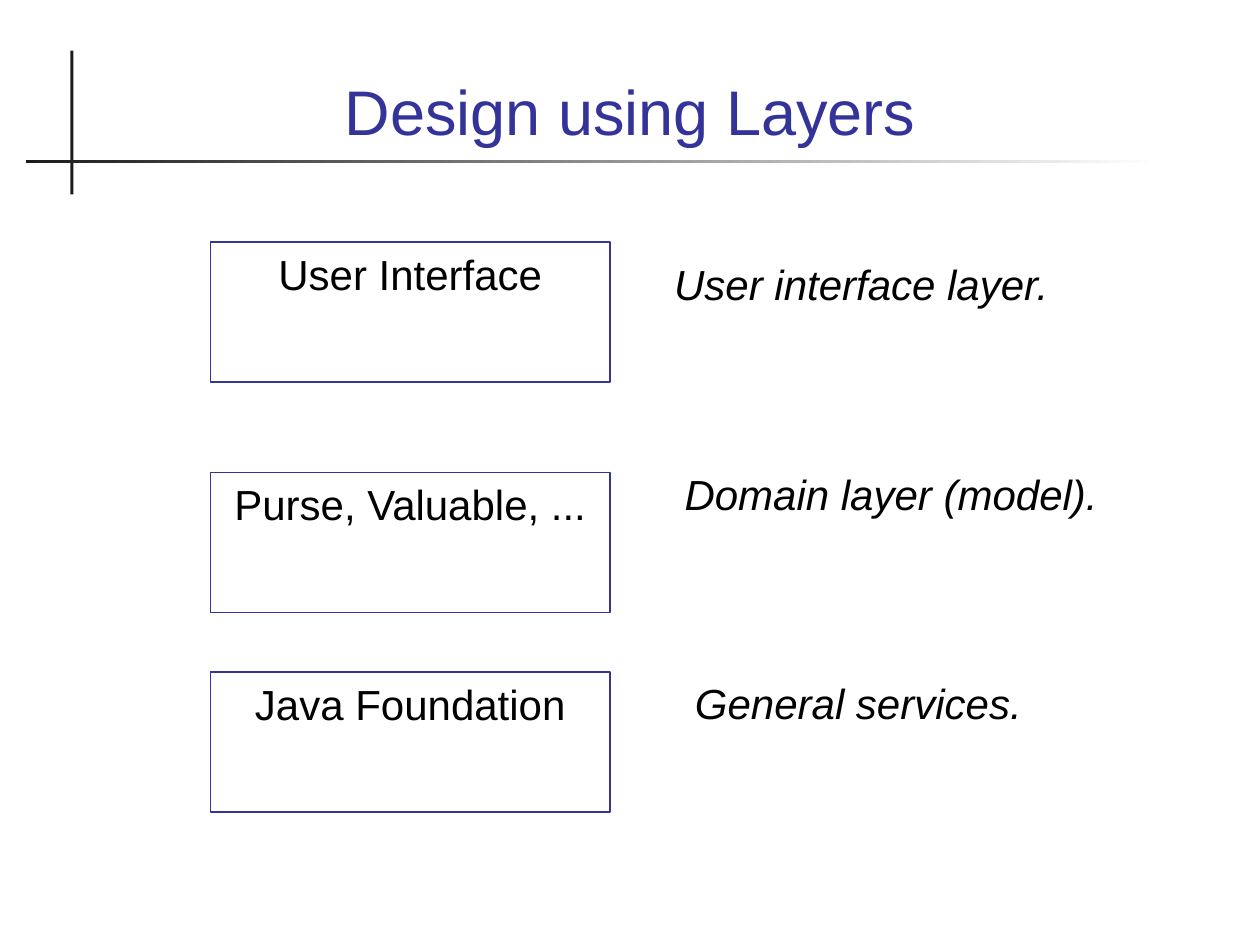
from pptx import Presentation, util as u
from pptx.dml.color import RGBColor
from pptx.enum import shapes, text

COLORS = {"ink": "000000", "accent": "333399", "rule": "1C1C1C", "paper": "FFFFFF"}
BOX_LEFT, BOX_WIDTH, BOX_HEIGHT = 4.24, 8.06, 2.82
NOTE_LEFT, NOTE_TOP, NOTE_WIDTH, NOTE_HEIGHT = 13.34, 5.08, 9.52, 1.27
NOTE_SHIFT, NOTE_STEP = 0.21, 4.23
LAYERS = [
    (4.88, "User Interface", "User interface layer."),
    (9.53, "Purse, Valuable, ...", "Domain layer (model)."),
    (13.55, "Java Foundation", "General services."),
]


def color(name):
    """Return a named colour."""
    return RGBColor.from_string(COLORS[name])


class Painter:
    """Holds the style and the current slide."""

    font = "Arial"
    body_size = 24
    space_before = 15

    def __init__(self, page):
        self.page = page

    def rectangle(self, left, top, width, height):
        """Add a rectangle without shadow, fill or line."""
        box = self.page.shapes.add_shape(
            shapes.MSO_SHAPE.RECTANGLE, *map(u.Cm, (left, top, width, height)))
        box.shadow.inherit = False
        box.fill.background()
        box.line.fill.background()
        return box

    def rule(self, left, top, width, height, fade=False):
        """Add a thin bar, optionally fading out to the right."""
        bar = self.rectangle(left, top, width, height)
        if fade:
            bar.fill.gradient()
            bar.fill.gradient_angle = 180
            for stop, name in zip(bar.fill.gradient_stops, ("paper", "rule")):
                stop.color.rgb = color(name)
        else:
            bar.fill.solid()
            bar.fill.fore_color.rgb = color("rule")

    def set_text(self, box, words, size=body_size, ink="ink", centred=True,
                 italic=False, anchor=text.MSO_ANCHOR.TOP, before=space_before):
        """Put one paragraph into a shape."""
        frame = box.text_frame
        frame.word_wrap = True
        frame.vertical_anchor = anchor
        para = frame.paragraphs[0]
        para.alignment = text.PP_ALIGN.CENTER if centred else text.PP_ALIGN.LEFT
        para.space_before = u.Pt(before)
        span = para.add_run()
        span.text = words
        span.font.name = self.font
        span.font.size = u.Pt(size)
        span.font.italic = italic
        span.font.color.rgb = color(ink)

    def label(self, left, top, width, height, words, **style):
        """Add a text box."""
        box = self.page.shapes.add_textbox(*map(u.Cm, (left, top, width, height)))
        self.set_text(box, words, **style)

    def layer(self, top, words):
        """Add an outlined layer box."""
        box = self.rectangle(BOX_LEFT, top, BOX_WIDTH, BOX_HEIGHT)
        box.line.color.rgb = color("accent")
        box.line.width = u.Pt(0.74)
        self.set_text(box, words)


def main():
    """Build and save the deck."""
    deck = Presentation()
    deck.slide_width, deck.slide_height = u.Cm(25.4), u.Cm(19.05)
    painter = Painter(deck.slides.add_slide(deck.slide_layouts[6]))
    painter.rule(1.42, 1.02, 0.06, 2.9)
    painter.rule(0.53, 3.23, 22.83, 0.06, fade=True)
    painter.label(1.7, 0.71, 22, 2.41, "Design using Layers", size=36,
                  ink="accent", anchor=text.MSO_ANCHOR.BOTTOM, before=0)
    for index, (top, name, note) in enumerate(LAYERS):
        painter.layer(top, name)
        painter.label(NOTE_LEFT + index * NOTE_SHIFT, NOTE_TOP + index * NOTE_STEP,
                      NOTE_WIDTH, NOTE_HEIGHT, note, centred=False, italic=True)
    deck.save("out.pptx")


main()
